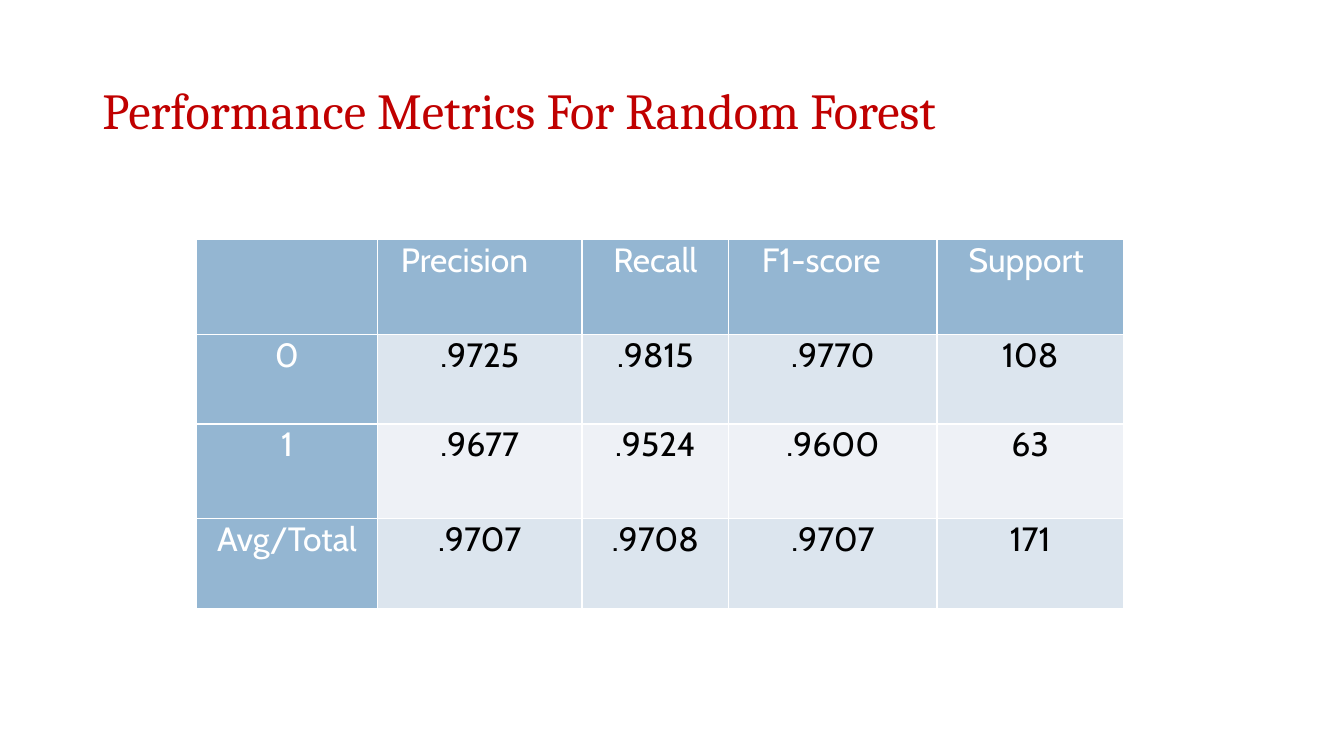
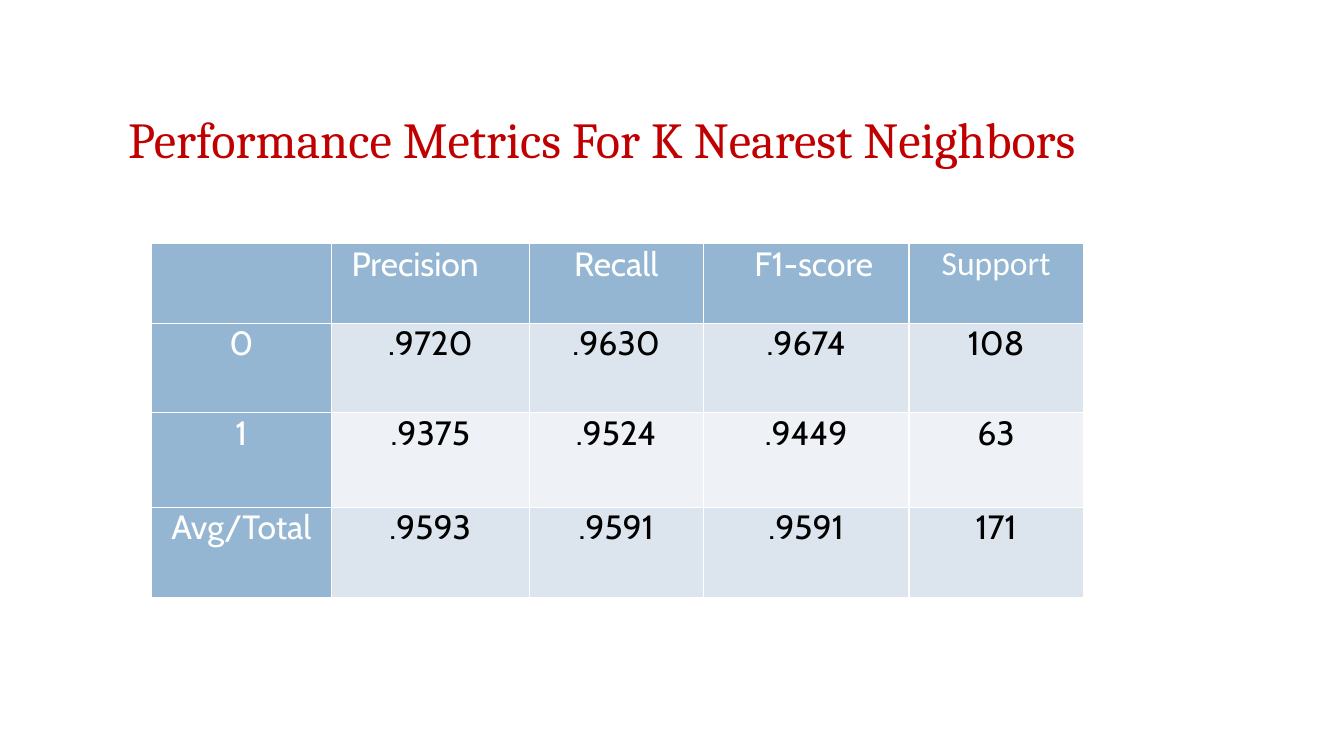
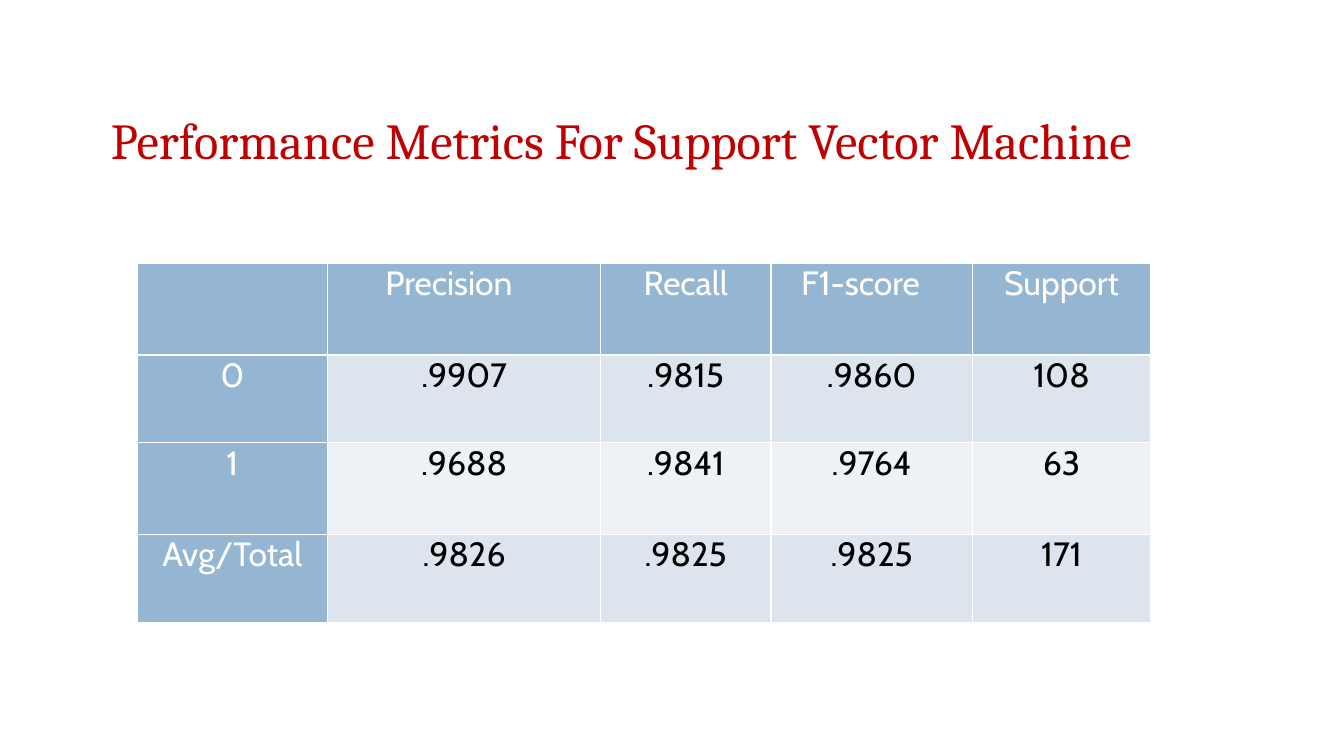
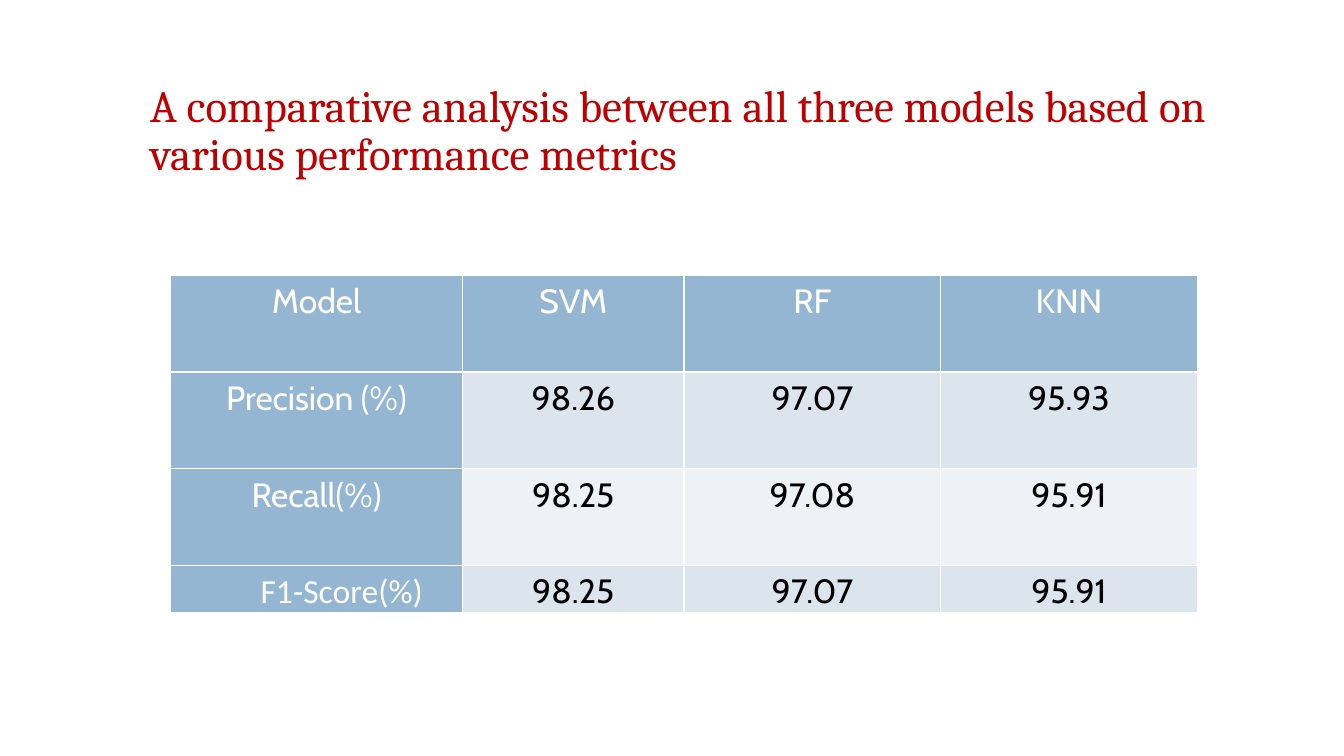
"""Build four slides of model performance tables."""
from dataclasses import dataclass

from pptx import Presentation
from pptx.dml.color import RGBColor
from pptx.enum.shapes import MSO_SHAPE
from pptx.enum.text import MSO_ANCHOR, MSO_AUTO_SIZE, PP_ALIGN
from pptx.oxml import parse_xml
from pptx.oxml.ns import nsdecls
from pptx.util import Inches, Pt

LEFT, MID = PP_ALIGN.LEFT, PP_ALIGN.CENTER
CENTRE, TOP = MSO_ANCHOR.MIDDLE, MSO_ANCHOR.TOP
FIXED = MSO_AUTO_SIZE.NONE
OVAL = MSO_SHAPE.OVAL
WIDE, HIGH = 13.33, 7.5
TITLE_ONLY = 5
PAD = 0.07


@dataclass(frozen=True)
class Theme:
    """Colours, fonts and type sizes of the deck."""
    red: str = "C00000"
    white: str = "FFFFFF"
    black: str = "000000"
    blue: str = "94B6D2"
    bands: tuple = ("DCE5EE", "EEF1F6")
    serif: str = "Cambria"
    sans: str = "Cabin"
    plain: str = "Calibri"
    large: int = 36
    medium: int = 32
    body: int = 24
    rule: int = 1


THEME = Theme()
HEADS = ("", "Precision", "Recall", "F1-score", "Support")
LABELS = ("0", "1", "Avg/Total")
COUNTS = ("108", "63", "171")


def across(share):
    """Turn a percentage of the slide width into a length."""
    return Inches(WIDE * share / 100)


def down(share):
    """Turn a percentage of the slide height into a length."""
    return Inches(HIGH * share / 100)


def style(item, values):
    """Set each named format value on an item."""
    for name, value in values.items():
        setattr(item, name, value)


def write(frame, text, font, colour, size, align, space):
    """Put one formatted paragraph into a text frame."""
    para = frame.paragraphs[0]
    style(para, {"alignment": align, "line_spacing": space})
    run = para.add_run()
    run.text = text
    style(run.font, {"name": font, "size": Pt(size), "bold": False})
    run.font.color.rgb = RGBColor.from_string(colour)


def add_title(slide, text, box, size):
    """Place and format the title of a slide."""
    title = slide.shapes.title
    left, top, width, height = box
    style(title, {"left": across(left), "top": down(top),
                  "width": across(width), "height": down(height)})
    style(title.text_frame, {"word_wrap": True, "auto_size": FIXED,
                             "vertical_anchor": CENTRE})
    write(title.text_frame, text, THEME.serif, THEME.red, size, LEFT, 0.9)


def add_ring(slide):
    """Add the white corner ring that every slide shares."""
    size = across(3.3)
    ring = slide.shapes.add_shape(OVAL, across(93.77), down(91.2), size, size)
    ring.shadow.inherit = False
    ring.fill.background()
    ring.line.color.rgb = RGBColor.from_string(THEME.white)
    ring.line.width = Pt(THEME.rule)


def add_rules(cell):
    """Draw a thin white line on each side of a cell."""
    props = cell._tc.get_or_add_tcPr()
    for spot, side in enumerate(("lnL", "lnR", "lnT", "lnB")):
        props.insert(spot, parse_xml(
            f'<a:{side} {nsdecls("a")} w="{Pt(THEME.rule)}"><a:solidFill>'
            f'<a:srgbClr val="{THEME.white}"/></a:solidFill></a:{side}>'))


def fill_cell(cell, text, row, col, font, shift, space):
    """Colour a cell by its place and write its text."""
    edge = row == 0 or col == 0
    back = THEME.blue if edge else THEME.bands[(row - 1) % 2]
    cell.fill.solid()
    cell.fill.fore_color.rgb = RGBColor.from_string(back)
    style(cell, {"margin_left": Inches(PAD + max(shift, 0)),
                 "margin_right": Inches(PAD + max(-shift, 0)),
                 "margin_top": 0, "margin_bottom": 0,
                 "vertical_anchor": TOP})
    add_rules(cell)
    if text:
        ink = THEME.white if edge else THEME.black
        write(cell.text_frame, text, font, ink, THEME.body, MID, space)


def add_grid(slide, data, spot, cols, rows, shifts, plain=(), space=1.0):
    """Add a table, with shifts and plain type for chosen cells."""
    frame = slide.shapes.add_table(
        len(rows), len(cols), across(spot[0]), down(spot[1]),
        across(sum(cols)), down(sum(rows)))
    table = frame.table
    style(table, {"first_row": False, "horz_banding": False})
    for col, share in zip(table.columns, cols):
        col.width = across(share)
    for row, share in zip(table.rows, rows):
        row.height = down(share)
    for i, line in enumerate(data):
        for j, text in enumerate(line):
            font = THEME.plain if (i, j) in plain else THEME.sans
            fill_cell(table.cell(i, j), text, i, j, font,
                      shifts.get((i, j), 0), space)


def scores(*lines):
    """Frame the scores of one model with heads, labels and counts."""
    body = [(label, *line, count)
            for label, line, count in zip(LABELS, lines, COUNTS)]
    return [HEADS, *body]


def add_page(deck, title, box, grid, size=THEME.large):
    """Add a slide with a corner ring, a title and a table."""
    slide = deck.slides.add_slide(deck.slide_layouts[TITLE_ONLY])
    add_ring(slide)
    add_title(slide, title, box, size)
    add_grid(slide, **grid)


def main():
    """Build and save the deck."""
    deck = Presentation()
    style(deck, {"slide_width": Inches(WIDE), "slide_height": Inches(HIGH)})
    add_page(deck, "Performance Metrics For Random Forest",
             (6.87, 5.33, 87.47, 19.33), {
                 "data": scores((".9725", ".9815", ".9770"),
                                (".9677", ".9524", ".9600"),
                                (".9707", ".9708", ".9707")),
                 "spot": (14.63, 31.73),
                 "cols": (13.45, 15.23, 10.92, 15.5, 13.86),
                 "rows": (12.53, 11.83, 12.53, 11.87),
                 "shifts": {(0, 1): -0.3, (0, 3): -0.23, (0, 4): -0.08}})
    add_page(deck, "Performance Metrics For K Nearest Neighbors",
             (8.78, 7.07, 82.52, 23.47), {
                 "data": scores((".9720", ".9630", ".9674"),
                                (".9375", ".9524", ".9449"),
                                (".9593", ".9591", ".9591")),
                 "spot": (11.25, 32.22),
                 "cols": (13.41, 14.71, 12.96, 15.31, 12.96),
                 "rows": (10.53, 11.87, 12.5, 11.87),
                 "shifts": {(0, 1): -0.3, (0, 3): 0.15}, 
                 "plain": ((0, 4),)})
    add_page(deck, "Performance Metrics For Support Vector Machine",
             (7.5, 7.2, 82.52, 23.47), {
                 "data": scores((".9907", ".9815", ".9860"),
                                (".9688", ".9841", ".9764"),
                                (".9826", ".9825", ".9825")),
                 "spot": (10.2, 34.8),
                 "cols": (14.18, 20.3, 12.68, 15, 13.25),
                 "rows": (12.16, 11.6, 12.16, 11.6),
                 "shifts": {(0, 1): -0.3, (0, 3): -0.22}})
    add_page(deck, "A comparative analysis between all three models "
             "based on various performance metrics",
             (10.41, 5.73, 82.52, 23.47), {
                 "data": [("Model", "SVM", "RF", "KNN"),
                          ("Precision (%)", "98.26", "97.07", "95.93"),
                          ("Recall(%)", "98.25", "97.08", "95.91"),
                          ("F1-Score(%)", "98.25", "97.07", "95.91")],
                 "spot": (12.68, 36.4),
                 "cols": (21.74, 16.48, 19.1, 19.1),
                 "rows": (12.8, 12.8, 12.8, 6.13),
                 "shifts": {(3, 0): 0.5},
                 "plain": ((3, 0),), "space": 1.15}, THEME.medium)
    deck.save("out.pptx")


if __name__ == "__main__":
    main()
